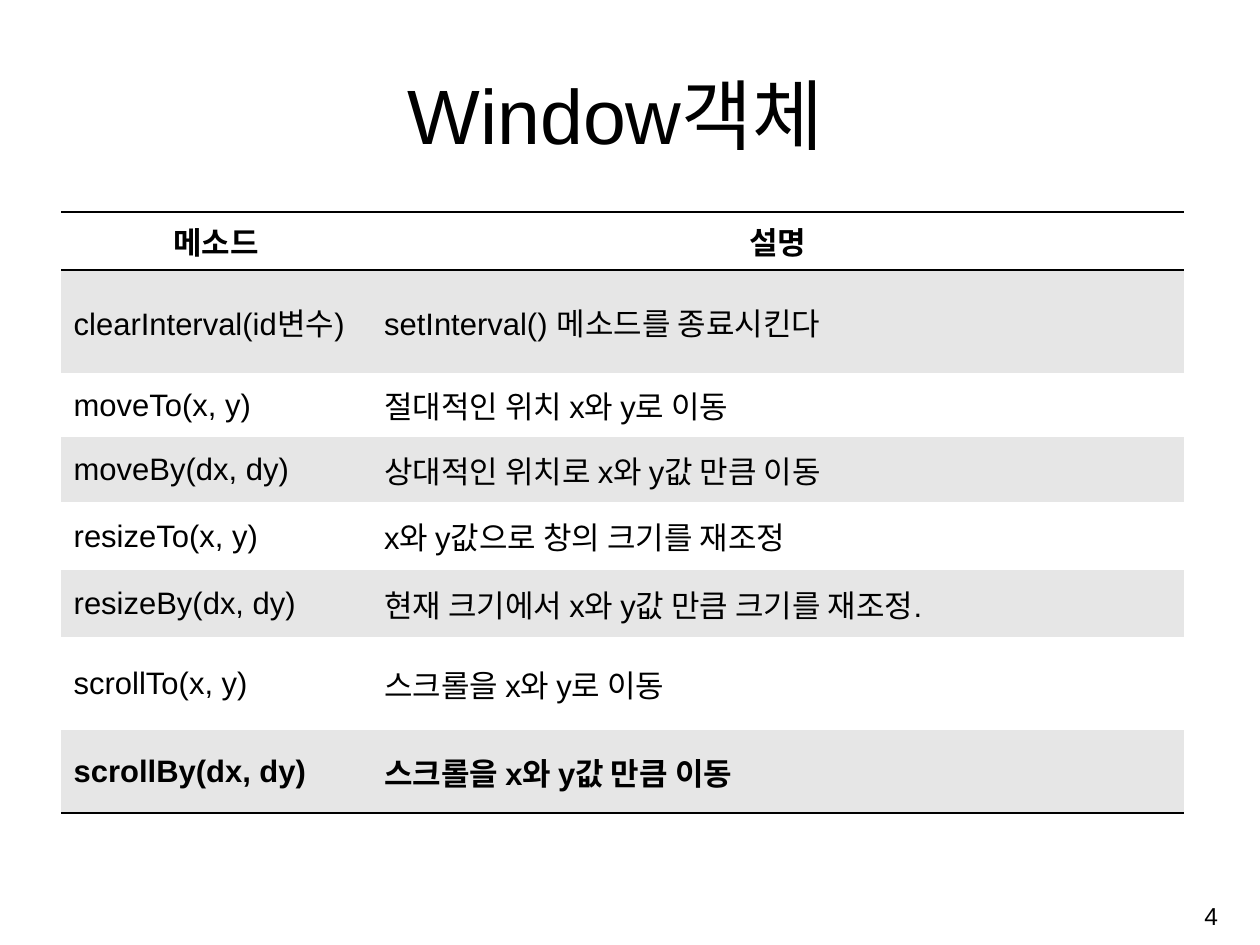
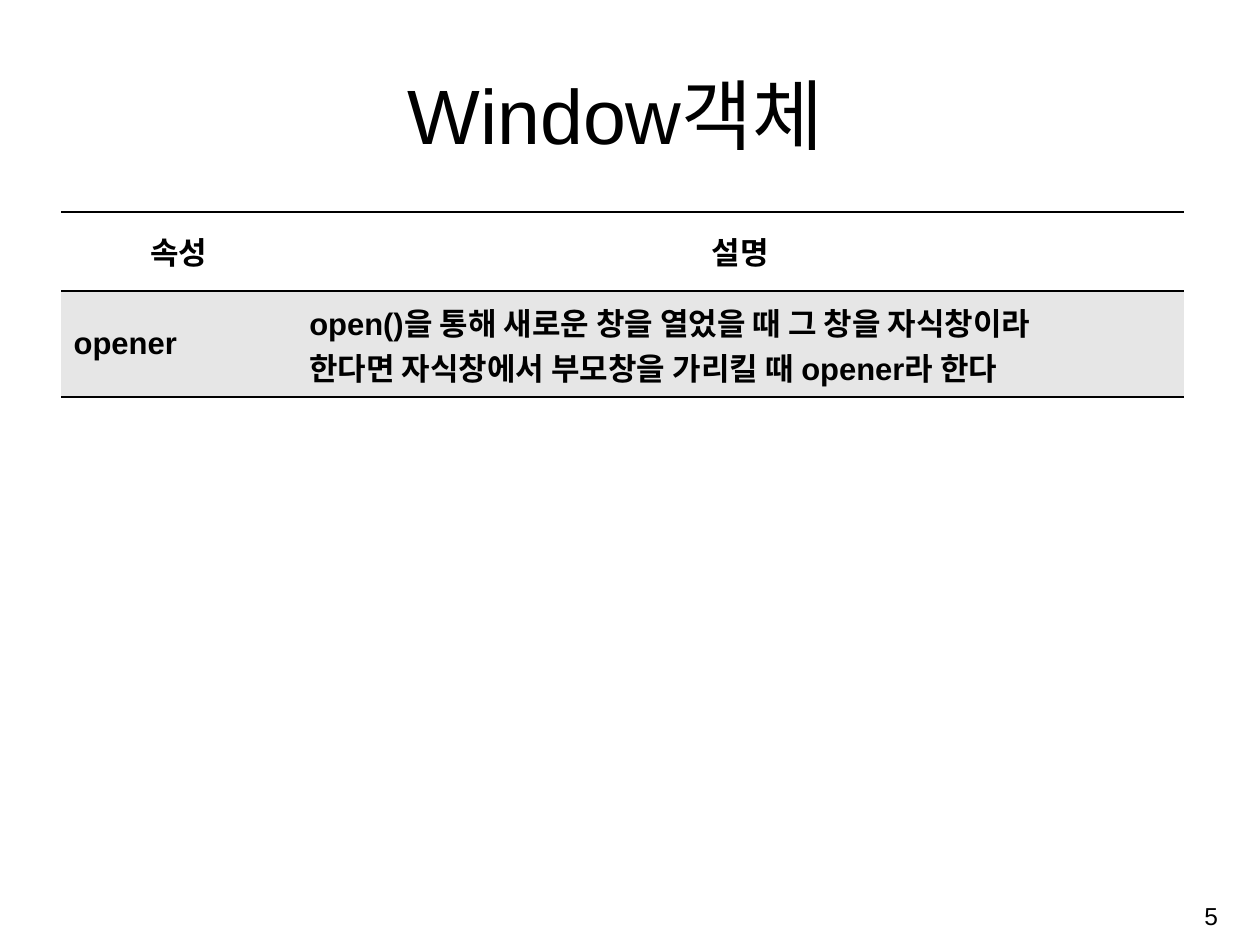
from lxml import etree
from pptx import Presentation
from pptx.dml.color import RGBColor
from pptx.enum import text as t
from pptx.oxml import ns
from pptx.util import Cm, Pt

BLACK = RGBColor(0x00, 0x00, 0x00)
WHITE = RGBColor(0xFF, 0xFF, 0xFF)
GREY = RGBColor(0xE6, 0xE6, 0xE6)
FONT = "Arial"
NO_STYLE = "{2D5ABB26-0587-4C30-8999-92F81FD0307C}"
TITLE = "Window객체"
LEFT, CENTER, RIGHT = t.PP_ALIGN.LEFT, t.PP_ALIGN.CENTER, t.PP_ALIGN.RIGHT

PAGES = [
    {
        "number": "4",
        "widths": [8.13, 21.29],
        "heights": [1.52, 2.7, 1.68, 1.7, 1.78, 1.75, 2.44, 2.16],
        "rows": [
            ("메소드", "설명"),
            ("clearInterval(id변수)", "setInterval() 메소드를 종료시킨다"),
            ("moveTo(x, y)", "절대적인 위치 x와 y로 이동"),
            ("moveBy(dx, dy)", "상대적인 위치로 x와 y값 만큼 이동"),
            ("resizeTo(x, y)", "x와 y값으로 창의 크기를 재조정"),
            ("resizeBy(dx, dy)", "현재 크기에서 x와 y값 만큼 크기를 재조정."),
            ("scrollTo(x, y)", "스크롤을 x와 y로 이동"),
            ("scrollBy(dx, dy)", "스크롤을 x와 y값 만큼 이동"),
        ],
    },
    {
        "number": "5",
        "widths": [6.17, 23.24],
        "heights": [2.06, 2.79],
        "rows": [
            ("속성", "설명"),
            ("opener", "open()을 통해 새로운 창을 열었을 때 그 창을 자식창이라\n"
                       "한다면 자식창에서 부모창을 가리킬 때 opener라 한다"),
        ],
    },
]


def write(frame, words, size, align=LEFT, bold=False):
    frame.text = words
    frame.word_wrap = True
    for para in frame.paragraphs:
        para.alignment = align
        for span in para.runs:
            span.font.name = FONT
            span.font.size = Pt(size)
            span.font.bold = bold
            span.font.color.rgb = BLACK


def add_rule(cell, side):
    rule = etree.SubElement(cell._tc.get_or_add_tcPr(), ns.qn("a:" + side), w=str(Pt(2)))
    fill = etree.SubElement(rule, ns.qn("a:solidFill"))
    etree.SubElement(fill, ns.qn("a:srgbClr"), val=str(BLACK))


deck = Presentation()
deck.slide_width, deck.slide_height = Cm(33), Cm(24.74)
layout = deck.slide_layouts[5]
heading = layout.placeholders[0]
heading.left, heading.top, heading.width, heading.height = Cm(2.65), Cm(1.57), Cm(26.95), Cm(2.74)
heading.text_frame.vertical_anchor = t.MSO_ANCHOR.BOTTOM
heading.text_frame.auto_size = t.MSO_AUTO_SIZE.NONE

for content in PAGES:
    page = deck.slides.add_slide(layout)
    write(page.shapes.title.text_frame, TITLE, 57.2, align=CENTER)

    box = page.shapes.add_textbox(Cm(25.34), Cm(23.22), Cm(6.81), Cm(1.52))
    box.text_frame.vertical_anchor = t.MSO_ANCHOR.MIDDLE
    write(box.text_frame, content["number"], 18.2, align=RIGHT)

    rows, widths, heights = content["rows"], content["widths"], content["heights"]
    table = page.shapes.add_table(len(rows), len(widths), Cm(1.6), Cm(5.55),
                                  Cm(sum(widths)), Cm(sum(heights))).table
    table._tbl.tblPr.find(ns.qn("a:tableStyleId")).text = NO_STYLE
    for column, width in zip(table.columns, widths):
        column.width = Cm(width)

    last = len(rows) - 1
    for r, (words_in_row, height) in enumerate(zip(rows, heights)):
        table.rows[r].height = Cm(height)
        for c, words in enumerate(words_in_row):
            cell = table.cell(r, c)
            cell.margin_left = cell.margin_right = Cm(0.33)
            cell.margin_top = cell.margin_bottom = Cm(0.16)
            cell.vertical_anchor = t.MSO_ANCHOR.MIDDLE
            if r == 0:
                add_rule(cell, "lnT")
            if r in (0, last):
                add_rule(cell, "lnB")
            cell.fill.solid()
            cell.fill.fore_color.rgb = GREY if r % 2 else WHITE
            write(cell.text_frame, words, 23, align=LEFT if r else CENTER, bold=r in (0, last))

deck.save("out.pptx")
